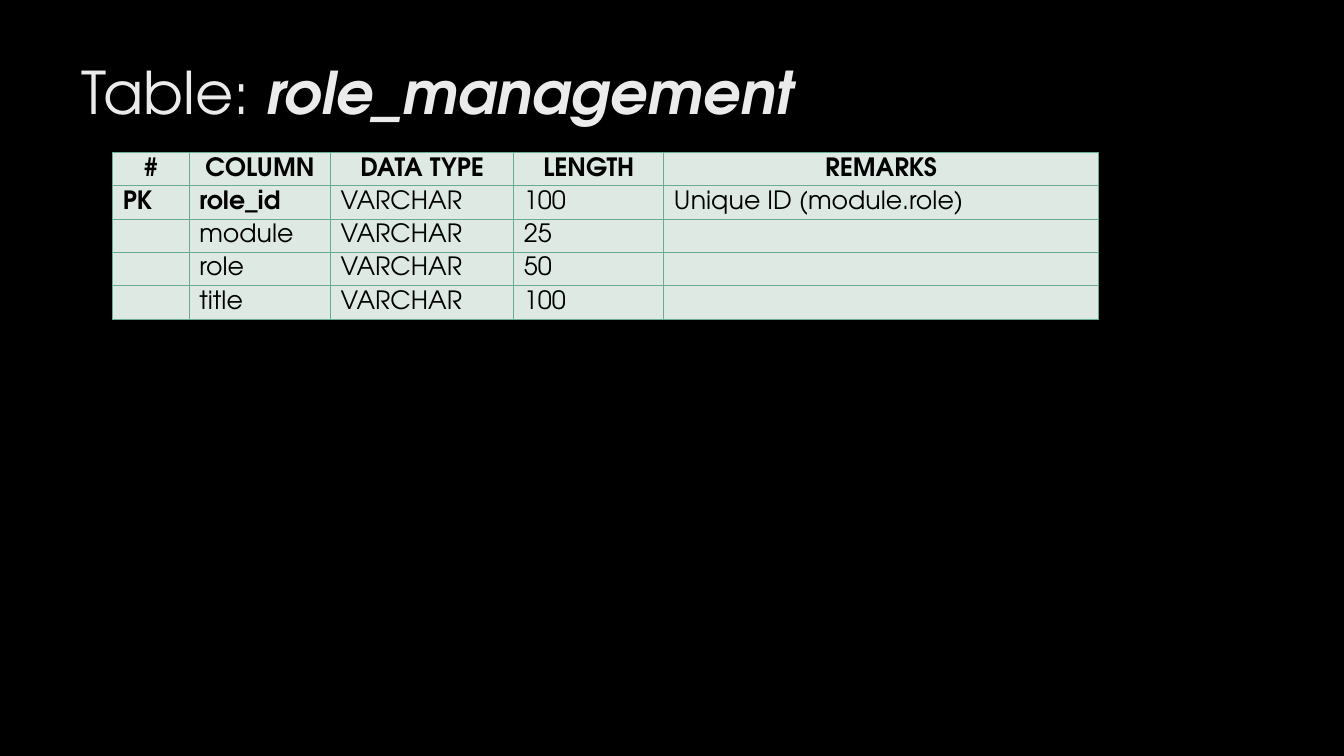
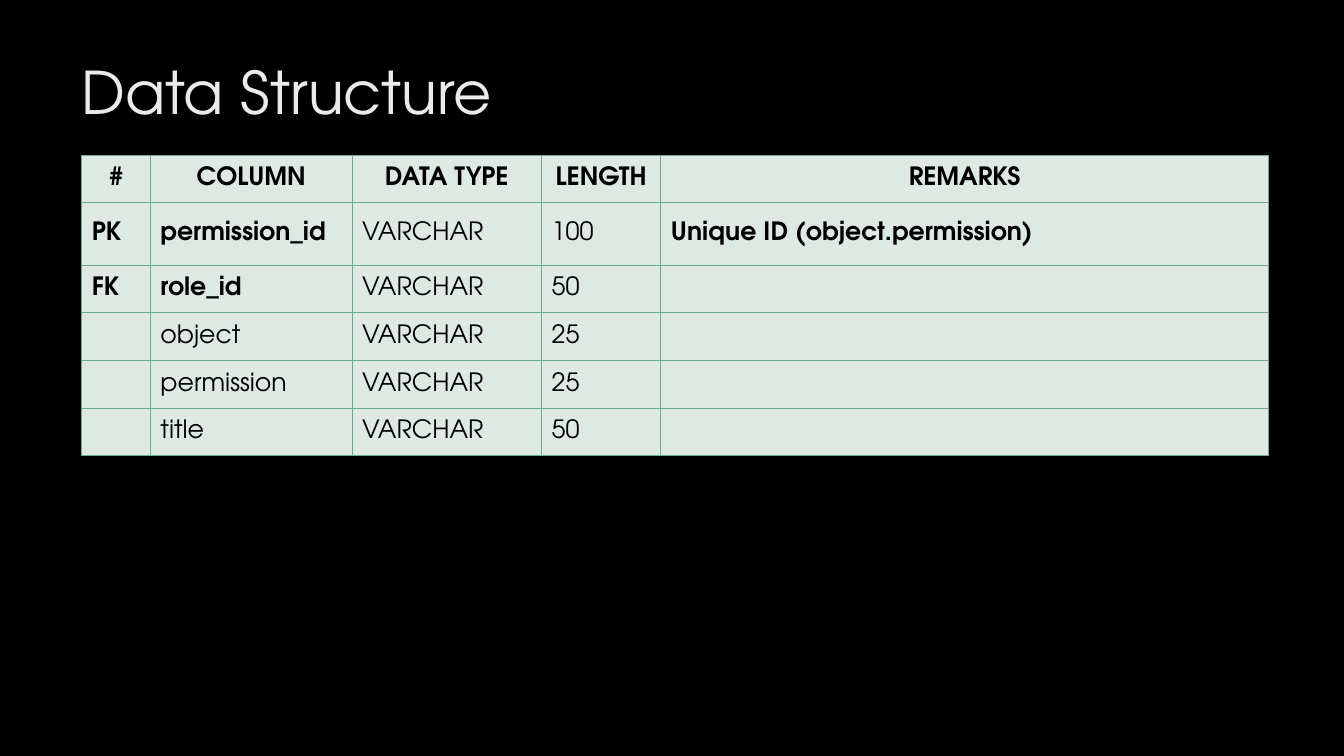
"""Builds two slides that describe database tables."""
from dataclasses import dataclass

from lxml import etree
from pptx import Presentation
from pptx import util as u
from pptx.dml import color
from pptx.enum import text
from pptx.oxml import ns


@dataclass(frozen=True)
class Theme:
    font: str = "TeX Gyre Adventor"
    background: str = "000000"
    title_color: str = "EBEBEB"
    cell_fill: str = "DDE9E2"
    cell_color: str = "000000"
    border: str = "6AAC90"
    border_width: float = 0.75
    title_size: int = 42
    cell_size: int = 18


THEME = Theme()
HEADINGS = ("#", "COLUMN", "DATA TYPE", "LENGTH", "REMARKS")


def rgb(value):
    return color.RGBColor.from_string(value)


def add_text(para, content, *, size=THEME.cell_size, fill=THEME.cell_color,
             bold=False, italic=False):
    span = para.add_run()
    span.text = content
    font = span.font
    font.name = THEME.font
    font.size = u.Pt(size)
    font.color.rgb = rgb(fill)
    font.bold = bold
    font.italic = italic


def add_page(deck, title, *, height, emphasis=""):
    page = deck.slides.add_slide(deck.slide_layouts.get_by_name("Title Only"))
    box = page.shapes.title
    box.left, box.top = u.Cm(1.8), u.Cm(1.27)
    box.width, box.height = u.Cm(26.14), u.Cm(height)
    frame = box.text_frame
    frame.auto_size = text.MSO_AUTO_SIZE.NONE
    frame.vertical_anchor = text.MSO_ANCHOR.TOP
    para = frame.paragraphs[0]
    para.alignment = text.PP_ALIGN.LEFT
    style = {"size": THEME.title_size, "fill": THEME.title_color}
    add_text(para, title, **style)
    if emphasis:
        add_text(para, emphasis, bold=True, italic=True, **style)
    return page


def add_borders(cell):
    properties = cell._tc.get_or_add_tcPr()
    for side in ("lnL", "lnR", "lnT", "lnB"):
        line = etree.SubElement(properties, ns.qn(f"a:{side}"),
                                w=str(u.Pt(THEME.border_width)))
        fill = etree.SubElement(line, ns.qn("a:solidFill"))
        etree.SubElement(fill, ns.qn("a:srgbClr"), val=THEME.border)


def format_cell(cell, content, *, padding, bold, centered):
    add_borders(cell)
    cell.fill.solid()
    cell.fill.fore_color.rgb = rgb(THEME.cell_fill)
    cell.margin_top = cell.margin_bottom = u.Cm(padding)
    cell.vertical_anchor = text.MSO_ANCHOR.MIDDLE
    para = cell.text_frame.paragraphs[0]
    para.alignment = text.PP_ALIGN.CENTER if centered else text.PP_ALIGN.LEFT
    if content:
        add_text(para, content, bold=bold)
    else:
        para.font.size = u.Pt(THEME.cell_size)
        para.font.name = THEME.font


def add_column_table(page, fields, *, left, top, widths, heights, padding,
                     key_bold=(0, 1)):
    rows = [HEADINGS, *fields]
    table = page.shapes.add_table(
        len(rows), len(HEADINGS), u.Cm(left), u.Cm(top),
        u.Cm(sum(widths)), u.Cm(sum(heights))).table
    table.first_row = table.horz_banding = False
    for column, width in zip(table.columns, widths):
        column.width = u.Cm(width)
    for r, (values, height) in enumerate(zip(rows, heights)):
        table.rows[r].height = u.Cm(height)
        header = r == 0
        for c, value in enumerate(values):
            bold = header or (bool(values[0]) and c in key_bold)
            format_cell(table.cell(r, c), value, padding=padding,
                        bold=bold, centered=header)


def add_role_page(deck):
    page = add_page(deck, "Table: ", emphasis="role_management", height=2.57)
    fields = [
        ("PK", "role_id", "VARCHAR", "100", "Unique ID (module.role)"),
        ("", "module", "VARCHAR", "25", ""),
        ("", "role", "VARCHAR", "50", ""),
        ("", "title", "VARCHAR", "100", ""),
    ]
    add_column_table(page, fields, left=2.84, top=3.84,
                     widths=(1.93, 3.56, 4.62, 3.78, 10.95),
                     heights=[0.84] * 5, padding=0)


def add_permission_page(deck):
    page = add_page(deck, "Data Structure", height=3.89)
    fields = [
        ("PK", "permission_id", "VARCHAR", "100", "Unique ID (object.permission)"),
        ("FK", "role_id", "VARCHAR", "50", ""),
        ("", "object", "VARCHAR", "25", ""),
        ("", "permission", "VARCHAR", "25", ""),
        ("", "title", "VARCHAR", "50", ""),
    ]
    add_column_table(page, fields, left=2.06, top=3.91,
                     widths=(1.73, 5.08, 4.78, 3, 15.32),
                     heights=[1.2, 1.57] + [1.2] * 4, padding=0.13,
                     key_bold=(0, 1, 4))


def main():
    deck = Presentation()
    deck.slide_width, deck.slide_height = u.Cm(33.87), u.Cm(19.05)
    background = deck.slide_master.background.fill
    background.solid()
    background.fore_color.rgb = rgb(THEME.background)
    add_role_page(deck)
    add_permission_page(deck)
    deck.save("out.pptx")


if __name__ == "__main__":
    main()
